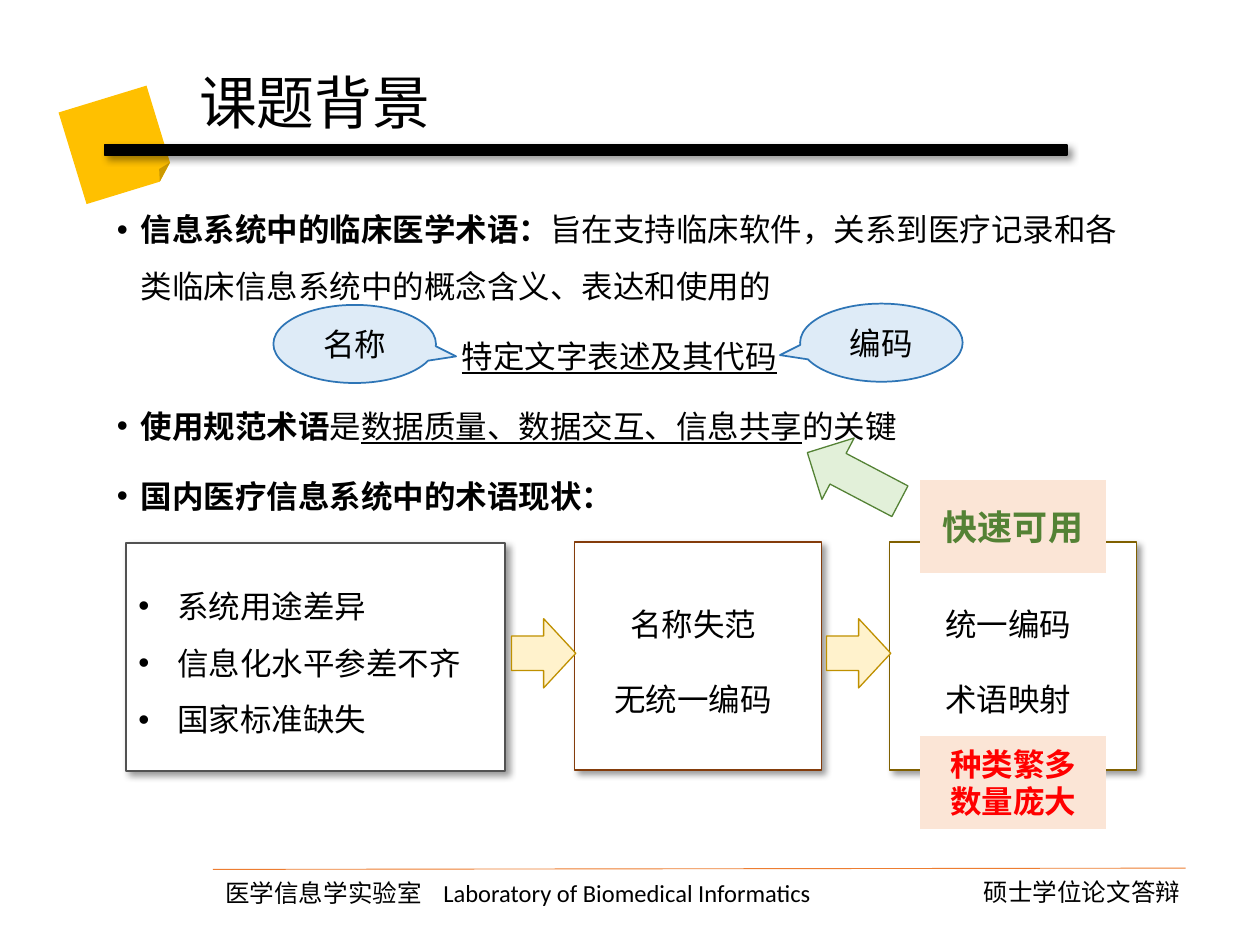
from lxml import etree
from pptx import Presentation
from pptx.dml.color import RGBColor as RGB
from pptx.enum.shapes import MSO_CONNECTOR as LINK, MSO_SHAPE as KIND
from pptx.enum.text import MSO_ANCHOR as ANCHOR, MSO_AUTO_SIZE as FIT, PP_ALIGN as ALIGN
from pptx.oxml.ns import qn
from pptx.util import Inches, Pt

COLS, ROWS = 100, 75
WIDTH, HEIGHT = Inches(10), Inches(7.5)
FONT = "Calibri"
BLACK, WHITE = RGB(0, 0, 0), RGB(255, 255, 255)
GOLD, RUST = RGB(0xFF, 0xC0, 0x00), RGB(0xED, 0x7D, 0x31)
GRAY, BROWN, OLIVE = RGB(0x52, 0x52, 0x52), RGB(0x84, 0x3C, 0x0B), RGB(0x80, 0x60, 0x00)
PEACH, RED = RGB(0xFB, 0xE5, 0xD6), RGB(0xFF, 0, 0)
GREEN, MINT = RGB(0x54, 0x82, 0x35), RGB(0xE2, 0xF0, 0xD9)
BLUE, SKY = RGB(0x2E, 0x75, 0xB6), RGB(0xDE, 0xEB, 0xF7)
AMBER, CREAM = RGB(0xBF, 0x90, 0x00), RGB(0xFF, 0xF2, 0xCC)
BOLD, UNDER = "bold", "under"


def grid(x, y, *size):
    units = (WIDTH / COLS, HEIGHT / ROWS) * 2
    return [round(n * unit) for n, unit in zip((x, y, *size), units)]


def node(parent, tag, **attrs):
    return etree.SubElement(parent, qn(tag), attrs)


def shade(shape):
    props = shape._element.spPr
    props.remove(props.find(qn("a:effectLst")))
    cast = node(node(props, "a:effectLst"), "a:outerShdw", blurRad=str(Pt(4)),
                dist=str(Pt(3)), dir="2700000", algn="tl", rotWithShape="0")
    node(node(cast, "a:srgbClr", val="000000"), "a:alpha", val="40000")


def draw(shapes, kind, place, fill, line=None, width=1, turn=0):
    shape = shapes.add_shape(kind, *grid(*place))
    shape.shadow.inherit = False
    shape.fill.solid()
    shape.fill.fore_color.rgb = fill
    if line is None:
        shape.line.fill.background()
    else:
        shape.line.color.rgb = line
        shape.line.width = Pt(width)
    shape.rotation = turn
    return shape


def bullet(para, indent):
    props = para._p.get_or_add_pPr()
    props.set("marL", str(Inches(indent)))
    props.set("indent", str(-Inches(indent)))
    node(props, "a:buFont", typeface="Arial")
    node(props, "a:buChar", char="•")


def tab(para, at):
    stops = node(para._p.get_or_add_pPr(), "a:tabLst")
    node(stops, "a:tab", pos=str(Inches(at)), algn="l")


def write(para, runs, size=18, color=BLACK, align=ALIGN.LEFT, space=None):
    para.alignment = align
    if space:
        para.line_spacing = space
    for text, *marks in runs:
        run = para.add_run()
        run.text = text
        font = run.font
        font.name, font.size, font.color.rgb = FONT, Pt(size), color
        font.bold = BOLD in marks
        font.underline = UNDER in marks


def paras(frame, count):
    return [frame.paragraphs[0]] + [frame.add_paragraph() for _ in range(count - 1)]


def box(shapes, place, fit=FIT.NONE):
    frame = shapes.add_textbox(*grid(*place)).text_frame
    frame.word_wrap = True
    frame.auto_size = fit
    return frame


def label(shape, lines, size=18, color=BLACK, *marks):
    frame = shape.text_frame
    frame.word_wrap = True
    frame.vertical_anchor = ANCHOR.MIDDLE
    for para, line in zip(paras(frame, len(lines)), lines):
        write(para, [(line, *marks)], size, color, ALIGN.CENTER)


def panel(shapes, place, line, items, listed=False):
    group = shapes.add_group_shape().shapes
    shade(draw(group, KIND.RECTANGLE, place, WHITE, line))
    x, y, w, h = place
    frame = box(group, (x, y + 1.5, w - 0.8, 12.2), FIT.SHAPE_TO_FIT_TEXT)
    for para, item in zip(paras(frame, len(items)), items):
        if listed:
            para.level = 1
            bullet(para, 0.31)
            write(para, [(item,)], space=1.5)
        else:
            write(para, [(item,)], align=ALIGN.CENTER, space=2)


def decor(shapes):
    draw(shapes, KIND.FOLDED_CORNER, (5.6, 7.7, 7.3, 7.6), GOLD, turn=343)
    shade(draw(shapes, KIND.RECTANGLE, (8.3, 11.5, 76.4, 0.8), BLACK, BLACK))
    rule = shapes.add_connector(LINK.STRAIGHT, *grid(16.9, 69, 94.1, 68.9))
    rule.line.color.rgb = RUST
    rule.line.width = Pt(0.5)
    node(rule._element.spPr, "a:effectLst")
    lab = box(shapes, (16.9, 69.2, 63.6, 3.4), FIT.SHAPE_TO_FIT_TEXT).paragraphs[0]
    tab(lab, 1.73)
    write(lab, [("医学信息学实验室\tLaboratory of Biomedical Informatics",)], 14)
    note = box(shapes, (77.1, 69.1, 22.6, 3.4), FIT.SHAPE_TO_FIT_TEXT).paragraphs[0]
    write(note, [("硕士学位论文答辩",)], 14)


def head(title):
    title.left, title.top, title.width, title.height = grid(14.8, 0.5, 87.9, 15.8)
    frame = title.text_frame
    frame.vertical_anchor = ANCHOR.MIDDLE
    write(frame.paragraphs[0], [("课题背景",)], 33, space=0.9)


def body(shapes):
    points = [
        (True, [("信息系统中的临床医学术语：", BOLD),
                ("旨在支持临床软件，关系到医疗记录和各类临床信息系统中的概念含义、表达和使用的",)]),
        (False, [("特定文字表述及其代码", UNDER)]),
        (True, [("使用规范术语", BOLD), ("是",),
                ("数据质量、数据交互、信息共享", UNDER), ("的关键",)]),
        (True, [("国内医疗信息系统中的术语现状：", BOLD)]),
    ]
    frame = box(shapes, (8.3, 14.7, 81.7, 54.3))
    for i, (para, (listed, runs)) in enumerate(zip(paras(frame, len(points)), points)):
        if listed:
            bullet(para, 0.19)
        write(para, runs, align=ALIGN.LEFT if listed else ALIGN.CENTER, space=1.5)
        if i:
            para.space_before = Pt(7.5)


def callout(shapes, x, y, text, flip=False):
    shape = draw(shapes, KIND.OVAL_CALLOUT, (x, y, 12.9, 6.2), SKY, BLUE)
    shape.adjustments[0], shape.adjustments[1] = 0.624, 0.159
    if flip:
        shape._element.spPr.xfrm.set("flipH", "1")
    label(shape, [text])


def main():
    deck = Presentation()
    deck.slide_width, deck.slide_height = WIDTH, HEIGHT
    slide = deck.slides.add_slide(deck.slide_layouts[5])
    shapes = slide.shapes
    decor(shapes)
    head(shapes.title)
    body(shapes)
    panel(shapes, (45.6, 43, 19.6, 18.1), BROWN, ["名称失范", "无统一编码"])
    panel(shapes, (10, 43.1, 30.1, 18.1), GRAY,
          ["系统用途差异", "信息化水平参差不齐", "国家标准缺失"], True)
    panel(shapes, (70.6, 43, 19.6, 18.1), OLIVE, ["统一编码", "术语映射"])
    for y, lines, size, color in ((58.4, ["种类繁多", "数量庞大"], 18, RED),
                                  (38.1, ["快速可用"], 20, GREEN)):
        tag = draw(shapes, KIND.FLOWCHART_PROCESS, (73, y, 14.8, 7.4), PEACH)
        label(tag, lines, size, color, BOLD)
    draw(shapes, KIND.RIGHT_ARROW, (63.6, 35.1, 8.3, 5.5), MINT, GREEN, 0.75, 207.7)
    callout(shapes, 21.7, 24.2, "名称")
    callout(shapes, 63.5, 24.1, "编码", True)
    for x in (40.6, 65.6):
        draw(shapes, KIND.RIGHT_ARROW, (x, 49.1, 5.1, 5.5), CREAM, AMBER, 0.75)
    deck.save("out.pptx")


if __name__ == "__main__":
    main()
